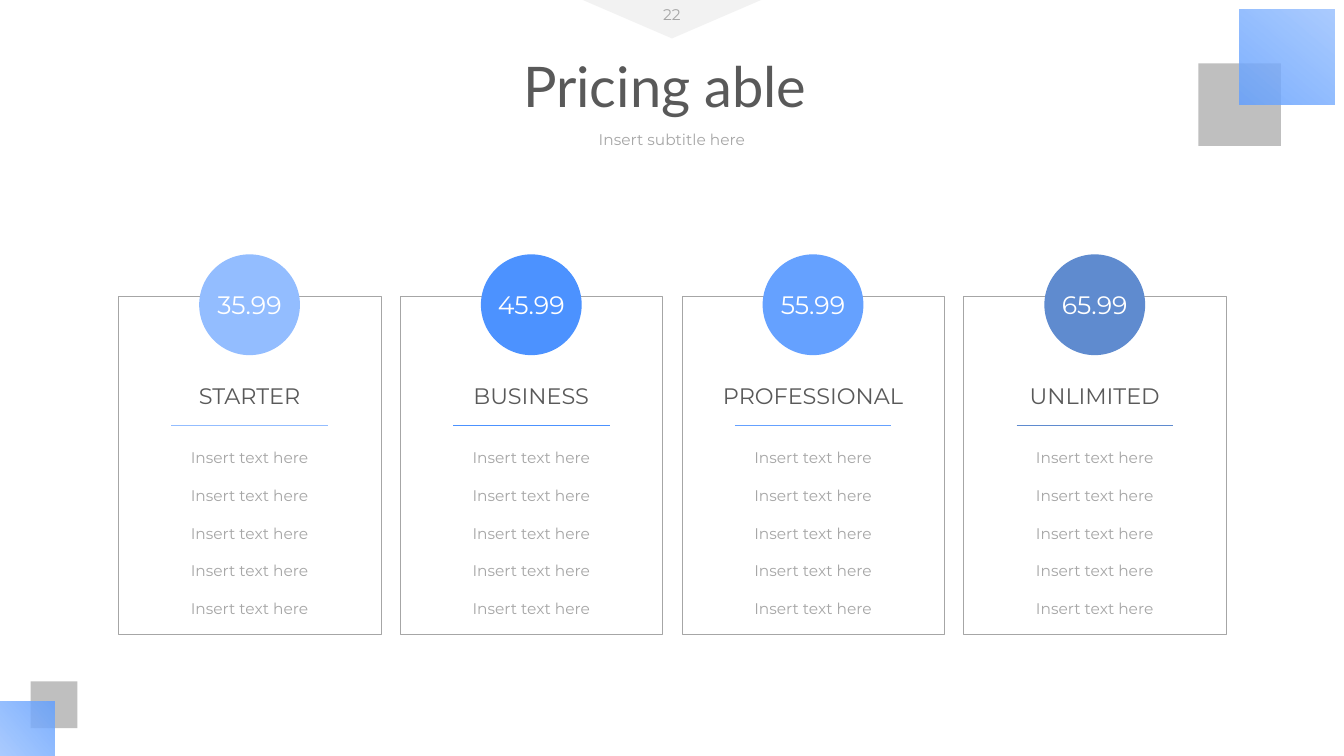
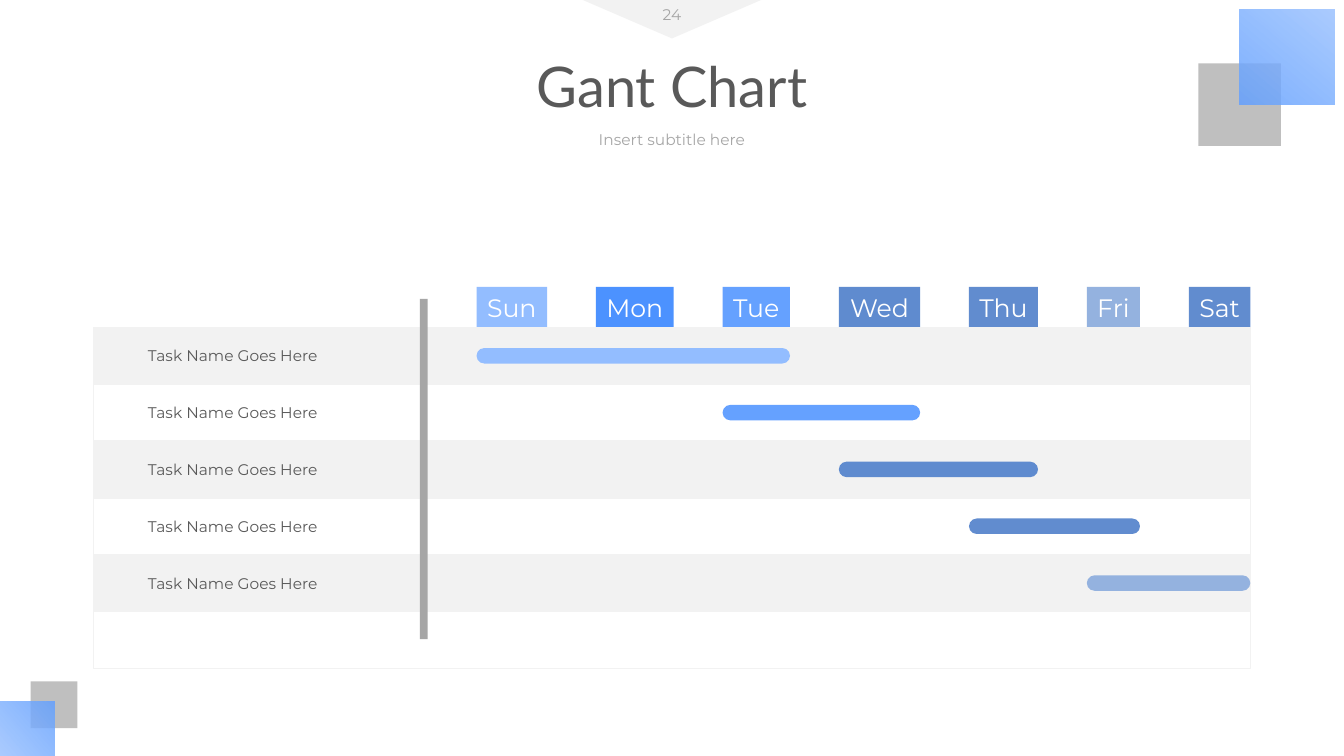
from dataclasses import dataclass
from typing import NamedTuple

from lxml import etree
from pptx import Presentation
from pptx.dml.color import RGBColor
from pptx.enum.shapes import MSO_CONNECTOR, MSO_SHAPE
from pptx.enum.text import MSO_ANCHOR, PP_ALIGN
from pptx.oxml.ns import qn
from pptx.util import Cm, Pt

RECT, ROUND_RECT = MSO_SHAPE.RECTANGLE, MSO_SHAPE.ROUNDED_RECTANGLE
OVAL, TRIANGLE = MSO_SHAPE.OVAL, MSO_SHAPE.ISOSCELES_TRIANGLE
STRAIGHT = MSO_CONNECTOR.STRAIGHT
CENTER, LEFT = PP_ALIGN.CENTER, PP_ALIGN.LEFT
MIDDLE = MSO_ANCHOR.MIDDLE


@dataclass(frozen=True)
class Theme:
    title_font: str = "Lato"
    body_font: str = "Montserrat"
    title_size: float = 40
    value_size: float = 18
    name_size: float = 16
    body_size: float = 11
    white: str = "FFFFFF"
    pale: str = "F2F2F2"
    silver: str = "BFBFBF"
    gray: str = "A6A6A6"
    dark: str = "595959"
    sky: str = "93BDFF"
    azure: str = "4C92FF"
    blue: str = "65A1FF"
    steel: str = "5F8BCF"
    denim: str = "618CCF"
    mist: str = "94B2DF"


class Box(NamedTuple):
    """Left, top, width and height in centimetres."""
    x: float
    y: float
    w: float
    h: float

    def emu(self) -> tuple:
        return tuple(Cm(v) for v in self)


class Plan(NamedTuple):
    name: str
    price: str
    color: str


class Day(NamedTuple):
    name: str
    width: float
    color: str


class Task(NamedTuple):
    first: int
    last: int


T = Theme()
SLIDE_W, SLIDE_H = 33.87, 19.05
MID_X = SLIDE_W / 2
LINE_H = 0.73

PLANS = [
    Plan("STARTER", "35.99", T.sky),
    Plan("BUSINESS", "45.99", T.azure),
    Plan("PROFESSIONAL", "55.99", T.blue),
    Plan("UNLIMITED", "65.99", T.steel),
]
FEATURES = ["Insert text here"] * 5

DAYS = [
    Day("Sun", 1.78, T.sky),
    Day("Mon", 1.96, T.azure),
    Day("Tue", 1.7, T.blue),
    Day("Wed", 2.05, T.steel),
    Day("Thu", 1.74, T.denim),
    Day("Fri", 1.34, T.mist),
    Day("Sat", 1.55, T.denim),
]
TASKS = [Task(0, 2), Task(2, 3), Task(3, 4), Task(4, 5), Task(5, 6)]


def rgb(color: str) -> RGBColor:
    return RGBColor.from_string(color)


def put_text(sp, text: str, *, size: float = T.body_size, color: str = T.gray,
             font: str = T.body_font, align=CENTER, wrap: bool = True):
    tf = sp.text_frame
    tf.word_wrap = wrap
    tf.vertical_anchor = MIDDLE
    p = tf.paragraphs[0]
    p.alignment = align
    r = p.add_run()
    r.text = text
    r.font.name, r.font.size = font, Pt(size)
    r.font.color.rgb = rgb(color)


def add_label(s, text: str, box: Box, **fmt):
    put_text(s.shapes.add_textbox(*box.emu()), text, **fmt)


def add_shape(s, kind, box: Box, fill: str = "", line: str = "",
              line_width: float = 1):
    sp = s.shapes.add_shape(kind, *box.emu())
    sp.shadow.inherit = False
    if fill:
        sp.fill.solid()
        sp.fill.fore_color.rgb = rgb(fill)
    else:
        sp.fill.background()
    if line:
        sp.line.color.rgb = rgb(line)
        sp.line.width = Pt(line_width)
    else:
        sp.line.fill.background()
    return sp


def add_rule(s, x: float, y: float, width: float, color: str):
    c = s.shapes.add_connector(STRAIGHT, Cm(x), Cm(y), Cm(x + width), Cm(y))
    c.line.color.rgb = rgb(color)
    c.line.width = Pt(0.5)
    etree.SubElement(c._element.spPr, qn("a:effectLst"))


def flip_vertical(sp):
    sp._element.spPr.find(qn("a:xfrm")).set("flipV", "1")


def fill_glass(sp):
    """Give the shape a translucent blue gradient."""
    sp.fill.gradient()
    sp.fill.gradient_angle = 230
    for stop, color, position in zip(sp.fill.gradient_stops, (T.sky, T.blue), (0, 1)):
        stop.color.rgb = rgb(color)
        stop.position = position
    colors = sp._element.spPr.find(qn("a:gradFill")).iter(qn("a:srgbClr"))
    for node, opacity in zip(colors, (78, 85)):
        etree.SubElement(node, qn("a:alpha")).set("val", str(opacity * 1000))


def add_corner(s, back: Box, front: Box, turned: bool = False):
    squares = [add_shape(s, RECT, back, T.silver), add_shape(s, RECT, front)]
    fill_glass(squares[1])
    if turned:
        for sp in squares:
            sp.rotation = 90
            flip_vertical(sp)


def new_slide(prs, number: str, title: str):
    s = prs.slides.add_slide(prs.slide_layouts[6])
    flip_vertical(add_shape(s, TRIANGLE, Box(MID_X - 2.25, 0, 4.5, 0.97), T.pale))
    add_corner(s, Box(30.2, 1.6, 2.08, 2.08), Box(31.23, 0.24, 2.4, 2.4))
    add_corner(s, Box(0.77, 17.17, 1.18, 1.18),
               Box(0, SLIDE_H - 1.38, 1.38, 1.38), turned=True)
    add_label(s, number, Box(MID_X - 1.4, 0, 2.8, LINE_H))
    add_label(s, "Insert subtitle here", Box(MID_X - 2.5, 3.15, 5, LINE_H))
    add_label(s, title, Box(MID_X - 7.6, 1.16, 15.2, 1.95),
              size=T.title_size, color=T.dark, font=T.title_font)
    return s


def add_plan(s, plan: Plan, x: float):
    card = Box(x, 7.47, 6.62, 8.52)
    mid, disc = x + card.w / 2, 2.54
    add_shape(s, RECT, card, line=T.gray, line_width=0.25)
    sp = add_shape(s, OVAL, Box(mid - disc / 2, 6.41, disc, disc), plan.color)
    put_text(sp, plan.price, size=T.value_size, color=T.white, wrap=False)
    add_label(s, plan.name, Box(x, 9.5, card.w, 0.94),
              size=T.name_size, color=T.dark)
    add_rule(s, mid - 1.97, 10.72, 3.94, plan.color)
    for i, feature in enumerate(FEATURES):
        add_label(s, feature, Box(mid - 1.75, 11.17 + i * 0.95, 3.5, LINE_H))


def build_pricing(prs):
    s = new_slide(prs, "22", "Pricing able ")
    for i, plan in enumerate(PLANS):
        add_plan(s, plan, 2.98 + i * 7.1)


def build_gantt(prs):
    s = new_slide(prs, "24", "Gant Chart")
    grid = Box(2.35, 8.25, 29.16, 8.59)
    row_h = grid.h / (len(TASKS) + 1)
    right = grid.x + grid.w
    x, day_h, bar_h = 12.01, 1.02, 0.39
    gap = (right - x - sum(d.width for d in DAYS)) / (len(DAYS) - 1)

    spans = []
    for day in DAYS:
        sp = add_shape(s, RECT, Box(x, grid.y - day_h, day.width, day_h), day.color)
        put_text(sp, day.name, size=T.value_size, color=T.white, wrap=False)
        spans.append((x, x + day.width))
        x += day.width + gap

    for i in range(len(TASKS) + 1):
        add_shape(s, RECT, Box(grid.x, grid.y + i * row_h, grid.w, row_h),
                  T.white if i % 2 else T.pale, line=T.pale)

    add_shape(s, RECT, Box(10.58, 7.53, 0.2, 8.58), T.gray)

    for i, task in enumerate(TASKS):
        mid = grid.y + (i + 0.5) * row_h
        add_label(s, "Task Name Goes Here", Box(3.48, mid - LINE_H / 2, 5.2, LINE_H),
                  color=T.dark, align=LEFT)
        start, end = spans[task.first][0], spans[task.last][1]
        bar = add_shape(s, ROUND_RECT, Box(start, mid - bar_h / 2, end - start, bar_h),
                        DAYS[task.first].color)
        bar.adjustments[0] = 0.5


def main():
    prs = Presentation()
    prs.slide_width, prs.slide_height = Cm(SLIDE_W), Cm(SLIDE_H)
    build_pricing(prs)
    build_gantt(prs)
    prs.save("out.pptx")


if __name__ == "__main__":
    main()
